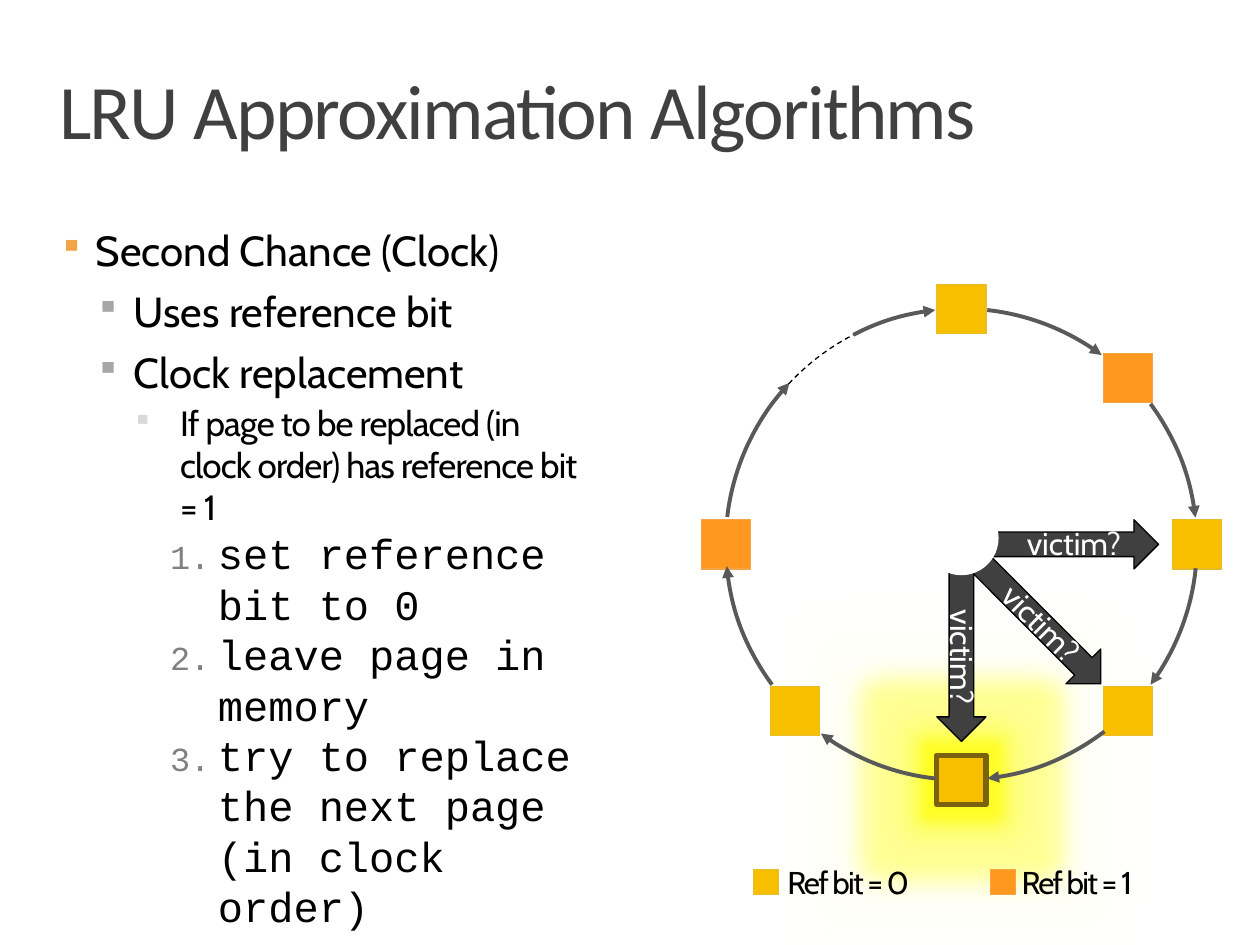
"""Build the slide on the second chance (clock) page replacement algorithm."""
from math import cos, radians, sin

from lxml import etree
from pptx import Presentation
from pptx.dml.color import RGBColor
from pptx.enum.dml import MSO_LINE
from pptx.enum.shapes import MSO_SHAPE
from pptx.enum.text import MSO_ANCHOR, PP_ALIGN
from pptx.oxml.ns import qn
from pptx.util import Inches, Pt

RECTANGLE, ARC = MSO_SHAPE.RECTANGLE, MSO_SHAPE.ARC
ARROW, ELLIPSE = MSO_SHAPE.RIGHT_ARROW, MSO_SHAPE.OVAL
DASH, MIDDLE, RIGHT = MSO_LINE.DASH, MSO_ANCHOR.MIDDLE, PP_ALIGN.RIGHT

TITLE = "LRU Approximation Algorithms"
LEVELS = [
    dict(margin=0.29, hang=0.29, before=0, color="F3A447", size=24, font="Cabin", spacing=0),
    dict(margin=0.59, hang=0.3, before=6, color="A6A6A6", size=24, font="Cabin", spacing=0),
    dict(margin=0.96, hang=0.38, before=3, color="D9D9D9", size=20, font="Cabin", spacing=-0.5),
    dict(margin=1.26, hang=0.38, before=0, color="808080", size=24, font="Courier New", spacing=0),
]
NUMBERED_LEVEL = 3
OUTLINE = [
    (0, "Second Chance (Clock)"),
    (1, "Uses reference bit"),
    (1, "Clock replacement"),
    (2, "If page to be replaced (in clock order) has reference bit = 1"),
    (3, "set reference bit to 0"),
    (3, "leave page in memory"),
    (3, "try to replace the next page (in clock order)"),
]
BIT_COLORS = [("F7BF00", "E7BC29"), ("FF981E", "F3A447")]
FRAMES = [(270, 0), (315, 1), (0, 0), (45, 0), (90, 0), (135, 0), (180, 1)]
VICTIM_ANGLE = 90
LINKS = [
    (276.33, 306.58), (323.42, 353.52), (5.84, 36.58), (52.6, 83.67),
    (96.33, 126.58), (143.42, 174.69), (186.65, 223.2), (242.76, 263.67),
]
GAP = (222.87, 242.76)
POINTERS = [(0, "victim?"), (45, "victim?"), (90, "victim?")]
LEGEND = [("Ref bit = 0", 5.98, 6.15), ("Ref bit = 1", 7.86, 8.01)]
HUB, RADIUS, POINTER_RADIUS = (7.63, 4.32), 1.87, 0.78
FRAME_SIZE = 0.39


def rgb(value):
    return RGBColor.from_string(value)


def add_element(parent, tag, **attributes):
    return etree.SubElement(parent, qn(tag), attributes)


def style_text(paragraph, size, font, color, spacing=0):
    for span in paragraph.runs:
        span.font.size = Pt(size)
        span.font.name = font
        span.font.color.rgb = rgb(color)
        if spacing:
            span.font._element.set("spc", str(int(spacing * 100)))


def add_text_box(page, left, top, width, height):
    box = page.shapes.add_textbox(*map(Inches, (left, top, width, height)))
    box.text_frame.word_wrap = True
    return box.text_frame


def set_insets(frame, left, top, right, bottom):
    frame.margin_left, frame.margin_top = Inches(left), Inches(top)
    frame.margin_right, frame.margin_bottom = Inches(right), Inches(bottom)


def add_centered(page, kind, center, width, height, fill=None, line=None, weight=0.75):
    left, top = center[0] - width / 2, center[1] - height / 2
    shape = page.shapes.add_shape(kind, *map(Inches, (left, top, width, height)))
    shape.shadow.inherit = False
    if fill:
        shape.fill.solid()
        shape.fill.fore_color.rgb = rgb(fill)
    else:
        shape.fill.background()
    if line:
        shape.line.color.rgb = rgb(line)
        shape.line.width = Pt(weight)
    else:
        shape.line.fill.background()
    return shape


def on_circle(angle, radius):
    turn = radians(angle)
    return HUB[0] + radius * cos(turn), HUB[1] + radius * sin(turn)


def add_arc(page, start, end, color, weight):
    arc = add_centered(page, ARC, HUB, 2 * RADIUS, 2 * RADIUS, line=color, weight=weight)
    arc.adjustments[0], arc.adjustments[1] = start * 0.6, end * 0.6
    return arc


def add_glow(shape):
    effects = shape._element.spPr.find(qn("a:effectLst"))
    glow = add_element(effects, "a:glow", rad=str(Inches(0.4)))
    halo = add_element(effects, "a:outerShdw", blurRad=str(Inches(0.1)), dist="0",
                       sx="150000", sy="150000", algn="ctr", rotWithShape="0")
    for effect, alpha in ((glow, "40000"), (halo, "60000")):
        color = add_element(effect, "a:srgbClr", val="FFFF00")
        add_element(color, "a:alpha", val=alpha)


def add_bullet(paragraph, level, style):
    properties = paragraph._p.get_or_add_pPr()
    properties.set("marL", str(Inches(style["margin"])))
    properties.set("indent", str(-Inches(style["hang"])))
    add_element(add_element(properties, "a:buClr"), "a:srgbClr", val=style["color"])
    add_element(properties, "a:buSzPct", val="80000")
    if level == NUMBERED_LEVEL:
        add_element(properties, "a:buAutoNum", type="arabicPeriod")
    else:
        add_element(properties, "a:buChar", char="▪")


def add_title(page):
    frame = add_text_box(page, 0.47, 0.6, 9.06, 0.94)
    set_insets(frame, 0, 0.04, 0, 0)
    frame.text = TITLE
    frame.paragraphs[0].line_spacing = 0.8
    style_text(frame.paragraphs[0], 44, "Calibri", "404040", -1)


def add_outline(page):
    frame = add_text_box(page, 0.47, 1.78, 4.14, 5.28)
    set_insets(frame, 0, 0, 0, 0)
    frame.text = "\n".join(text for _, text in OUTLINE)
    for paragraph, (level, _) in zip(frame.paragraphs, OUTLINE):
        style = LEVELS[level]
        paragraph.level = level
        add_bullet(paragraph, level, style)
        paragraph.space_before = Pt(style["before"])
        style_text(paragraph, style["size"], style["font"], "000000", style["spacing"])


def add_clock(page):
    for angle, bit in FRAMES:
        frame = add_centered(page, RECTANGLE, on_circle(angle, RADIUS),
                             FRAME_SIZE, FRAME_SIZE, *BIT_COLORS[bit])
        if angle == VICTIM_ANGLE:
            frame.line.color.rgb = rgb("7A620E")
            frame.line.width = Pt(3)
            add_glow(frame)
    for start, end in LINKS:
        arc = add_arc(page, start, end, "595959", 2.25)
        add_element(arc.line._get_or_add_ln(), "a:tailEnd", type="triangle")
    add_arc(page, *GAP, "000000", 0.75).line.dash_style = DASH
    for angle, label in POINTERS:
        pointer = add_centered(page, ARROW, on_circle(angle, POINTER_RADIUS),
                               1.57, FRAME_SIZE, "404040", "000000")
        pointer.rotation = angle
        text = pointer.text_frame
        text.word_wrap = False
        text.vertical_anchor = MIDDLE
        set_insets(text, 0, 0, 0.2, 0.02)
        text.text = label
        text.paragraphs[0].alignment = RIGHT
        style_text(text.paragraphs[0], 18, "Cabin", "FFFFFF")
    add_centered(page, ELLIPSE, (HUB[0], HUB[1] - 0.05), 0.59, 0.59, "FFFFFF")


def add_legend(page):
    for (label, left, text_left), colors in zip(LEGEND, BIT_COLORS):
        add_centered(page, RECTANGLE, (left + 0.1, 7), 0.2, 0.2, *colors)
        frame = add_text_box(page, text_left, 6.8, 1.42, 0.4)
        frame.text = label
        style_text(frame.paragraphs[0], 18, "Cabin", "000000", -1)


def main():
    deck = Presentation()
    deck.slide_width, deck.slide_height = Inches(10), Inches(7.5)
    page = deck.slides.add_slide(deck.slide_layouts[6])
    add_outline(page)
    add_title(page)
    add_clock(page)
    add_legend(page)
    deck.save("out.pptx")


if __name__ == "__main__":
    main()
